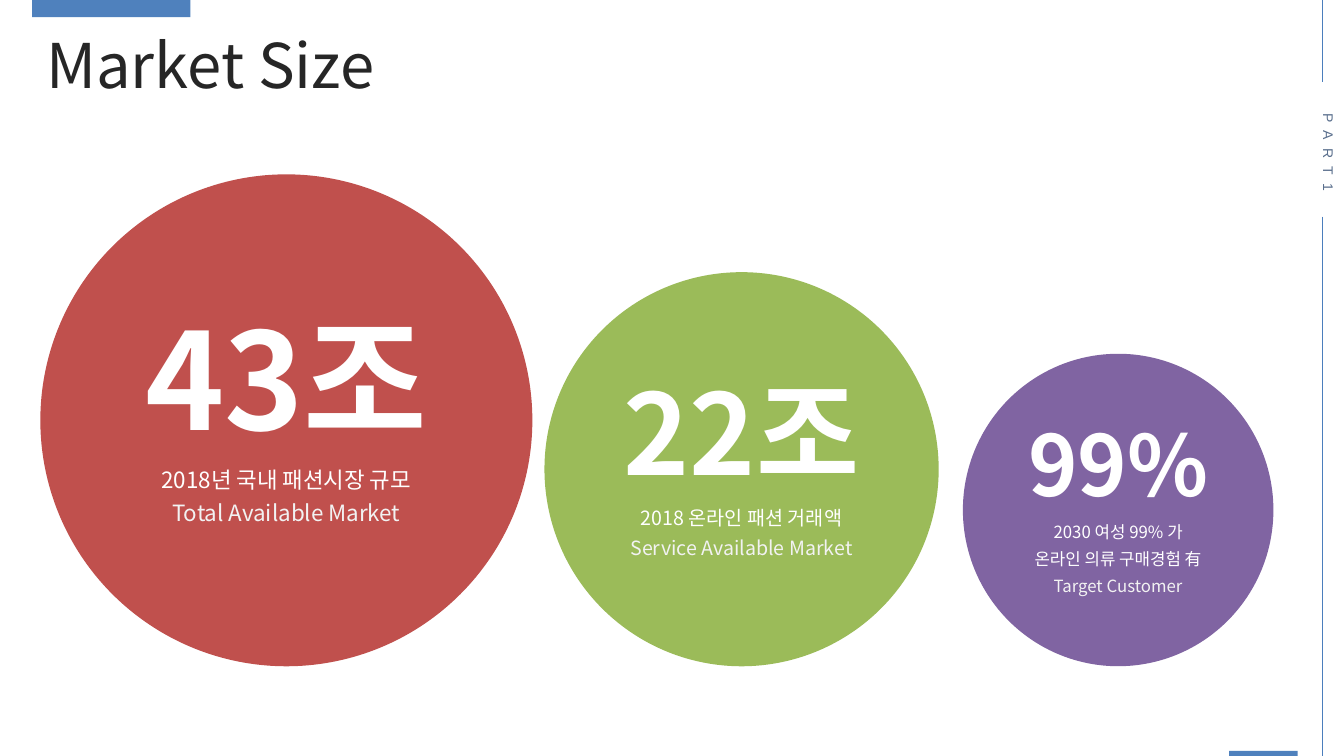
from dataclasses import dataclass

from lxml import etree
from pptx import Presentation
from pptx.dml.color import RGBColor
from pptx.enum import shapes, text
from pptx.oxml import ns
from pptx.util import Inches, Pt

KR = "Noto Sans CJK KR"
WHITE, PALE, BLUE, RULE = "FFFFFF", "F2F2F2", "4F81BD", "4B7EBC"
RULE_X = 13.12


@dataclass
class Market:
    left: float
    top: float
    width: float
    height: float
    color: str
    figure: str
    figure_size: int
    notes: list[str]
    label: str
    note_size: int


MARKETS = [
    Market(0.4, 1.73, 4.88, 4.88, "C0504D", "43조", 96,
           ["2018년 국내 패션시장 규모"], "Total Available Market", 16),
    Market(5.4, 2.7, 3.91, 3.91, "9BBB59", "22조", 80,
           ["2018 온라인 패션 거래액"], "Service Available Market", 14),
    Market(9.55, 3.51, 3.08, 3.1, "8064A2", "99%", 60,
           ["2030 여성 99% 가", "온라인 의류 구매경험 有"], "Target Customer", 12),
]


def rgb(color: str) -> RGBColor:
    return RGBColor.from_string(color)


def add_run(p, words: str, *, size: float, color: str, font: str = KR,
            bold: bool = False, spacing: float = 0) -> None:
    r = p.add_run()
    r.text = words
    f = r.font
    f.name, f.size, f.bold = font, Pt(size), bold
    f.color.rgb = rgb(color)
    props = r._r.get_or_add_rPr()
    etree.SubElement(props, ns.qn("a:ea"), typeface=font)
    if spacing:
        props.set("spc", str(round(spacing * 100)))


def add_filled(s, kind, left: float, top: float, width: float, height: float, color: str):
    sp = s.shapes.add_shape(kind, *map(Inches, (left, top, width, height)))
    sp.shadow.inherit = False
    sp.fill.solid()
    sp.fill.fore_color.rgb = rgb(color)
    sp.line.fill.background()
    return sp


def add_market(s, m: Market) -> None:
    sp = add_filled(s, shapes.MSO_SHAPE.OVAL, m.left, m.top, m.width, m.height, m.color)
    tf = sp.text_frame
    tf.word_wrap = True
    tf.vertical_anchor = text.MSO_ANCHOR.MIDDLE
    tf.margin_left = tf.margin_right = tf.margin_top = tf.margin_bottom = Inches(0.14)
    rows = [(m.figure, m.figure_size, WHITE, True)]
    rows += [(note, m.note_size, WHITE, False) for note in m.notes]
    rows.append((m.label, m.note_size, PALE, False))
    for i, (words, size, color, bold) in enumerate(rows):
        p = tf.add_paragraph() if i else tf.paragraphs[0]
        p.alignment = text.PP_ALIGN.CENTER
        p.line_spacing = 0.9
        p.space_after = Pt(6.3)
        add_run(p, words, size=size, color=color, bold=bold)


def add_label(s, words: str, left: float, top: float, width: float, height: float,
              *, vertical: bool = False, **style) -> None:
    tf = s.shapes.add_textbox(*map(Inches, (left, top, width, height))).text_frame
    tf.word_wrap = False
    if vertical:
        tf._txBody.bodyPr.set("vert", "vert")
    add_run(tf.paragraphs[0], words, **style)


def add_side_rule(s, top: float, bottom: float) -> None:
    line = s.shapes.add_connector(
        shapes.MSO_CONNECTOR.STRAIGHT, *map(Inches, (RULE_X, top, RULE_X, bottom)))
    line.line.color.rgb = rgb(RULE)
    line.line.width = Pt(0.75)
    etree.SubElement(line._element.spPr, ns.qn("a:effectLst"))


def main() -> None:
    prs = Presentation()
    prs.slide_width, prs.slide_height = Inches(13.33), Inches(7.5)
    s = prs.slides.add_slide(prs.slide_layouts[6])
    for market in MARKETS:
        add_market(s, market)
    for bar in ((0.32, 0, 1.57, 0.17), (12.19, 7.45, 0.68, 0.05)):
        add_filled(s, shapes.MSO_SHAPE.RECTANGLE, *bar, BLUE)
    add_label(s, "Market Size", 0.36, 0.22, 4.8, 0.83, size=44, color="262626")
    for top, bottom in ((2.15, 7.5), (0, 0.81)):
        add_side_rule(s, top, bottom)
    add_label(s, "PART1", 12.94, 1.03, 0.37, 0.97, vertical=True,
              size=10, color="5A6F8D", font="Arial", spacing=6)
    prs.save("out.pptx")


if __name__ == "__main__":
    main()
